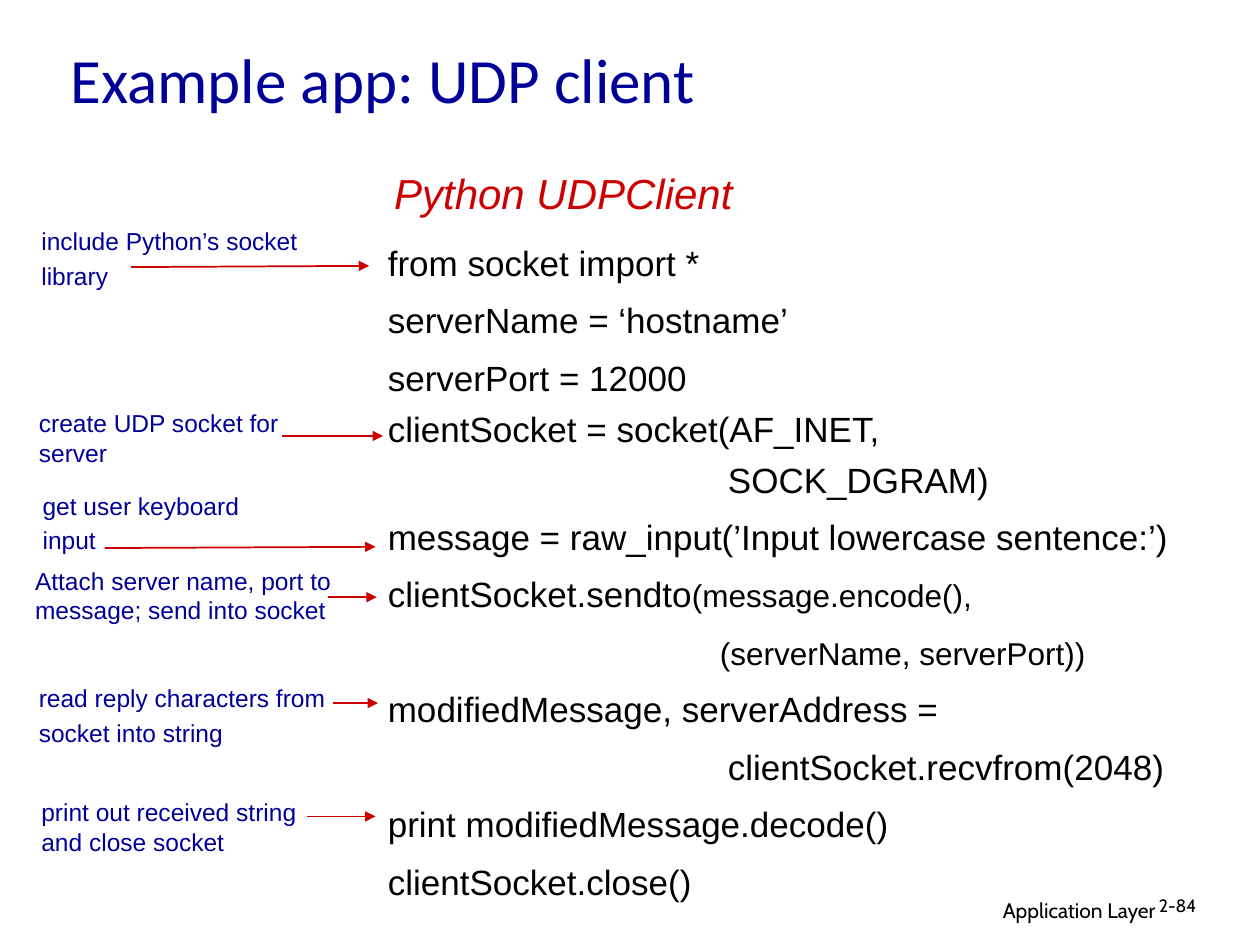
from lxml import etree
from pptx import Presentation
from pptx.dml.color import RGBColor
from pptx.enum.shapes import MSO_CONNECTOR
from pptx.enum.text import MSO_ANCHOR, MSO_AUTO_SIZE, PP_ALIGN
from pptx.oxml.ns import qn
from pptx.util import Inches, Pt

STRAIGHT = MSO_CONNECTOR.STRAIGHT
MIDDLE = MSO_ANCHOR.MIDDLE
GROW = MSO_AUTO_SIZE.SHAPE_TO_FIT_TEXT
NO_FIT = MSO_AUTO_SIZE.NONE
LEFT, RIGHT = PP_ALIGN.LEFT, PP_ALIGN.RIGHT

COLORS = {"heading": "000099", "accent": "CC0000", "code": "000000", "paper": "FFFFFF"}

CODE_INDENT = " " * 35
ARGUMENT_INDENT = " " * 38
CODE_LINES = [
    ([("from socket import *", 20)], Pt(28), 5),
    ([("serverName = ‘hostname’", 20)], Pt(28), 5),
    ([("serverPort = 12000", 20)], Pt(28), 5),
    ([("clientSocket = socket(AF_INET,", 20)], Pt(24), 5),
    ([(CODE_INDENT + "SOCK_DGRAM)", 20)], Pt(24), 5),
    ([("message = raw_input(’Input lowercase sentence:’)", 20)], Pt(28), 5),
    ([("clientSocket.sendto", 20), ("(message.encode(),", 18)], Pt(28), 4.5),
    ([(ARGUMENT_INDENT + "(serverName, serverPort))", 18)], Pt(28), 4.5),
    ([("modifiedMessage, serverAddress =", 20)], Pt(28), 5),
    ([(CODE_INDENT + "clientSocket.recvfrom(2048)", 20)], Pt(28), 5),
    ([("print modifiedMessage.decode()", 20)], Pt(28), 5),
    ([("clientSocket.close()", 20)], Pt(28), 5),
]

NOTES = [
    (["include Python’s socket", "library"], (0.23, 1.76, 2.4, 0.6), Pt(16),
     (1.04, 2.12, 2.93, 2.11)),
    (["create UDP socket for server"], (0.21, 3.19, 2.48, 0.57), None,
     (2.24, 3.46, 3.04, 3.46)),
    (["get user keyboard", "input"], (0.24, 3.86, 1.9, 0.6), Pt(16),
     (0.83, 4.35, 2.98, 4.34)),
    (["Attach server name, port to message; send into socket"],
     (0.18, 4.44, 2.57, 0.57), None, (2.6, 4.74, 2.99, 4.74)),
    (["print out received string and close socket"],
     (0.23, 6.28, 2.57, 0.57), None, (2.44, 6.48, 2.98, 6.48)),
    (["read reply characters from", "socket into string"],
     (0.21, 5.37, 2.57, 0.62), None, (2.64, 5.58, 3, 5.58)),
]


def set_values(target, values):
    """Set each named attribute of the target."""
    for name, value in values.items():
        setattr(target, name, value)


def add_run(paragraph, text, size, color, face="Arial", italic=False):
    """Append one formatted run to a paragraph."""
    run = paragraph.add_run()
    run.text = text
    set_values(run.font, {"size": Pt(size), "name": face, "italic": italic})
    run.font.color.rgb = RGBColor.from_string(COLORS[color])


def add_text(shapes, box, lines, color, face="Arial", italic=False, fit=GROW, align=LEFT):
    """Place lines given as (runs, line spacing, space before) in a text box."""
    frame = shapes.add_textbox(*map(Inches, box)).text_frame
    set_values(frame, {"word_wrap": True, "auto_size": fit})
    for index, (runs, spacing, before) in enumerate(lines):
        paragraph = frame.add_paragraph() if index else frame.paragraphs[0]
        set_values(paragraph, {"alignment": align, "line_spacing": spacing})
        if index:
            paragraph.space_before = Pt(before)
        for text, size in runs:
            add_run(paragraph, text, size, color, face, italic)


def add_arrow(shapes, ends):
    """Draw a red arrow between two points."""
    arrow = shapes.add_connector(STRAIGHT, *map(Inches, ends))
    arrow.line.width = Pt(1)
    arrow.line.color.rgb = RGBColor.from_string(COLORS["accent"])
    properties = arrow._element.spPr
    etree.SubElement(properties.find(qn("a:ln")), qn("a:tailEnd"), type="triangle")
    etree.SubElement(properties, qn("a:effectLst"))


def add_title(slide, box, text):
    """Move and format the title placeholder."""
    title = slide.shapes.title
    set_values(title, dict(zip(("left", "top", "width", "height"), map(Inches, box))))
    frame = title.text_frame
    set_values(frame, {"vertical_anchor": MIDDLE, "word_wrap": True, "auto_size": NO_FIT})
    paragraph = frame.paragraphs[0]
    paragraph.alignment = LEFT
    add_run(paragraph, text, 36, "heading", "Calibri")


def add_code(slide, heading_box, code_box):
    """Place the program heading and its listing."""
    add_text(slide.shapes, code_box, CODE_LINES, "code")
    add_text(slide.shapes, heading_box, [([("Python UDPClient", 24)], None, 0)],
             "accent", italic=True)


def add_note(slide, texts, box, spacing, arrow_ends):
    """Group an explanation with the arrow to its code line."""
    note = slide.shapes.add_group_shape()
    lines = [([(text, 14)], spacing, 3.5) for text in texts]
    add_text(note.shapes, box, lines, "heading")
    add_arrow(note.shapes, arrow_ends)


def add_footer(slide, chapter_box, number_box):
    """Place the chapter name and the page number."""
    add_text(slide.shapes, chapter_box, [([("Application Layer", 12)], None, 0)],
             "code", "Cabin", fit=NO_FIT, align=RIGHT)
    add_text(slide.shapes, number_box, [([("2-84", 10.2)], 0.9, 0)],
             "code", "Cabin", fit=NO_FIT)


def main():
    """Build and save the slide."""
    deck = Presentation()
    set_values(deck, {"slide_width": Inches(10), "slide_height": Inches(7.5)})
    slide = deck.slides.add_slide(deck.slide_layouts[5])
    slide.background.fill.solid()
    slide.background.fill.fore_color.rgb = RGBColor.from_string(COLORS["paper"])
    add_footer(slide, (6.1, 7.07, 3.17, 0.31), (9.1, 7.07, 0.74, 0.3))
    add_title(slide, (0.46, 0.1, 8.5, 1.04), "Example app: UDP client")
    add_code(slide, (3.03, 1.28, 3, 0.5), (2.98, 1.81, 6.5, 5.4))
    for note in NOTES:
        add_note(slide, *note)
    deck.save("out.pptx")


if __name__ == "__main__":
    main()
